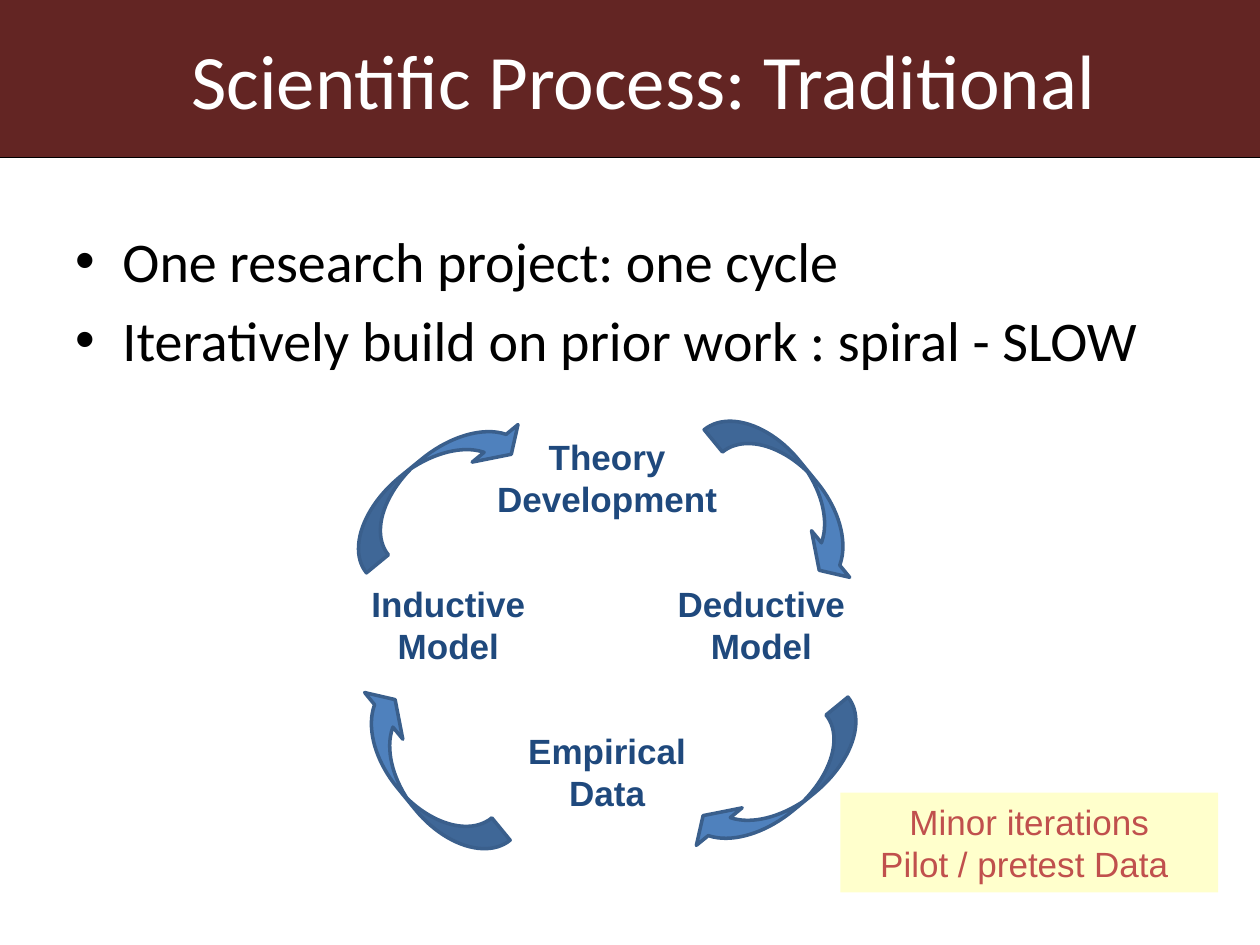
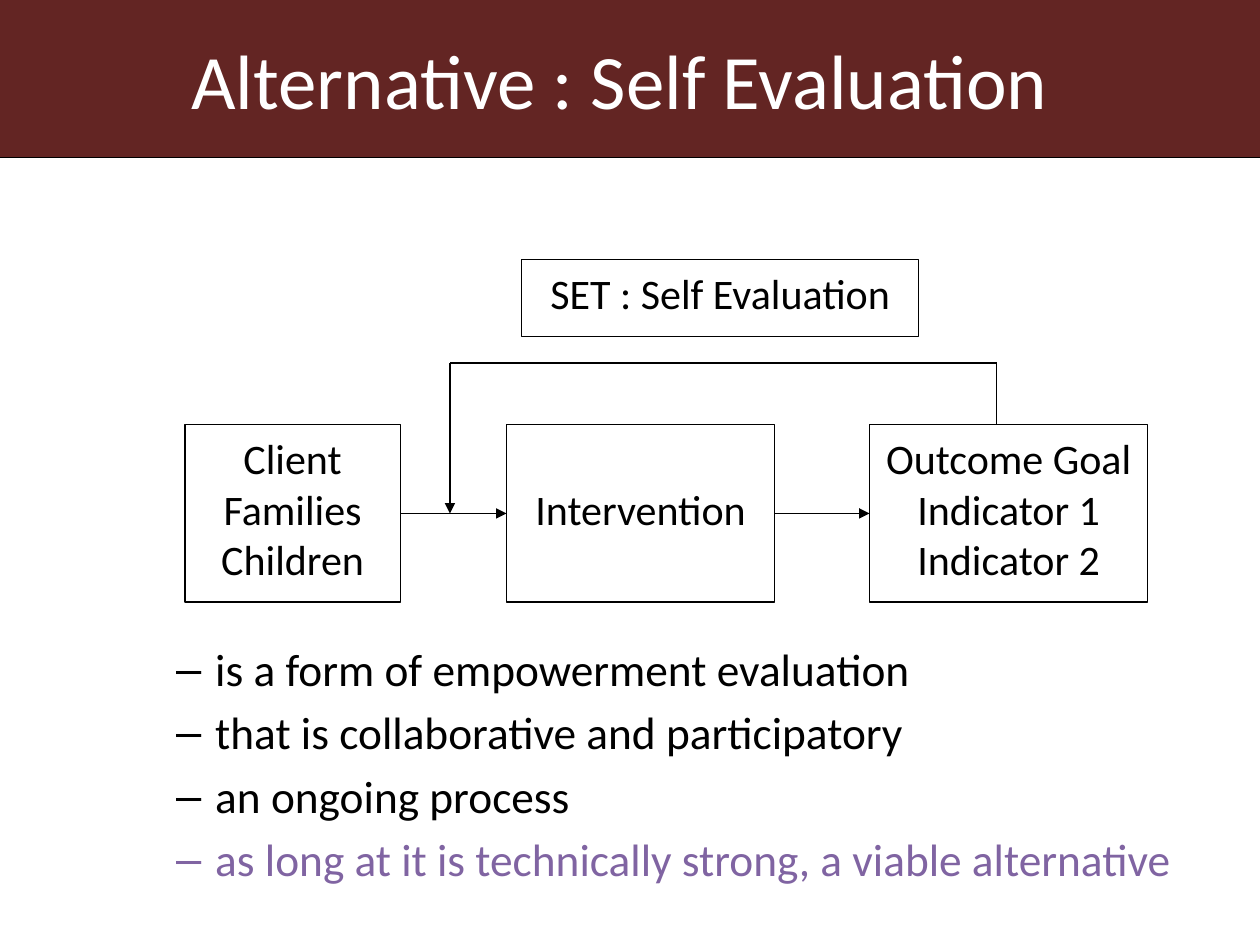
from pptx import Presentation
from pptx.dml.color import RGBColor
from pptx.enum.shapes import MSO_CONNECTOR, MSO_SHAPE
from pptx.enum.text import MSO_ANCHOR, PP_ALIGN
from pptx.oxml.ns import qn
from pptx.util import Cm, Pt
from lxml import etree

RECTANGLE = MSO_SHAPE.RECTANGLE
CURVED_ARROW = MSO_SHAPE.CURVED_DOWN_ARROW
STRAIGHT = MSO_CONNECTOR.STRAIGHT
TOP, MIDDLE = MSO_ANCHOR.TOP, MSO_ANCHOR.MIDDLE
LEFT, CENTER = PP_ALIGN.LEFT, PP_ALIGN.CENTER
LEFT_SIDE, RIGHT_SIDE = 1, 3

MAROON, WHITE, BLACK = "632523", "FFFFFF", "000000"
NAVY, BLUE, BLUE_EDGE = "1F497D", "4F81BD", "3A5F8C"
RED, CREAM, PURPLE = "C0504D", "FFFFCC", "8064A2"

# Content; all lengths in cm
SLIDE_W, SLIDE_H = 25.4, 19.05
BAND_H = 3.18
TITLE_LEFT = 3.61

TRADITIONAL = "Scientific Process: Traditional"
TRADITIONAL_POINTS = [
    ("One research project: one cycle", BLACK),
    ("Iteratively build on prior work : spiral - SLOW", BLACK),
]
ITERATIONS_NOTE = ["Minor iterations", "Pilot / pretest Data "]
CYCLE_CENTRE = (12.24, 12.8)
STAGE_H = 2.36
# lines, offset of the stage from the cycle centre, width
STAGES = [
    (["Theory", "Development"], (0, -2.97), 6.2),
    (["Deductive", "Model"], (3.11, 0), 4.9),
    (["Empirical", "Data"], (0, 2.97), 5.03),
    (["Inductive", "Model"], (-3.2, 0), 4.72),
]
# offset from the cycle centre, size, rotation; each has an opposite twin
CYCLE_ARROWS = [
    ((3.73, -2.83), (4.27, 1.09), 50.7),
    ((3.5, 3.05), (4.37, 1.07), 140.7),
]
ARROW_ADJUSTMENTS = (0.535, 1.115, 0.353)

SELF_EVALUATION = "Alternative : Self Evaluation"
SELF_EVALUATION_POINTS = [
    ("is a form of empowerment evaluation", BLACK),
    ("that is collaborative and participatory", BLACK),
    ("an ongoing process", BLACK),
    ("as long at it is technically strong, a viable alternative", PURPLE),
]
SET_LABEL = (["SET : Self Evaluation"], (10.52, 5.23, 8, 1.55))
STEP_TOP, STEP_H = 8.56, 3.58
# lines, left, width
STEPS = [
    (["Client", "Families", "Children"], 3.73, 4.34),
    (["Intervention"], 10.21, 5.41),
    (["Outcome Goal", "Indicator 1", "Indicator 2"], 17.53, 5.61),
]
FEEDBACK_START_X, FEEDBACK_END_X, FEEDBACK_Y = 20.09, 9.07, 7.32


# Helpers
def rgb(color):
    return RGBColor.from_string(color)


def write(shape, lines, size, color, font="Calibri", bold=False,
          align=CENTER, anchor=TOP):
    frame = shape.text_frame
    frame.word_wrap = True
    frame.vertical_anchor = anchor
    frame.text = "\n".join(lines)
    for paragraph in frame.paragraphs:
        paragraph.alignment = align
        paragraph.font.size = Pt(size)
        paragraph.font.name = font
        paragraph.font.bold = bold
        paragraph.font.color.rgb = rgb(color)


def add_text(slide, box, *args, **style):
    shape = slide.shapes.add_textbox(*map(Cm, box))
    write(shape, *args, **style)


def add_filled(slide, kind, box, fill, edge=None, edge_width=0.75):
    shape = slide.shapes.add_shape(kind, *map(Cm, box))
    shape.shadow.inherit = False
    shape.fill.solid()
    shape.fill.fore_color.rgb = rgb(fill)
    if edge:
        shape.line.color.rgb = rgb(edge)
        shape.line.width = Pt(edge_width)
    else:
        shape.line.fill.background()
    return shape


def add_line(slide, start, end, arrow=False):
    line = slide.shapes.add_connector(STRAIGHT, *map(Cm, (*start, *end)))
    line.line.color.rgb = rgb(BLACK)
    line.line.width = Pt(0.75)
    if arrow:
        etree.SubElement(line.line._get_or_add_ln(), qn("a:tailEnd"), type="triangle")
    etree.SubElement(line._element.spPr, qn("a:effectLst"))
    return line


def add_bullets(slide, box, points, size, mark, indent, hanging):
    frame = slide.shapes.add_textbox(*map(Cm, box)).text_frame
    frame.word_wrap = True
    frame.text = "\n".join(text for text, _ in points)
    for index, (paragraph, (_, color)) in enumerate(zip(frame.paragraphs, points)):
        properties = paragraph._p.get_or_add_pPr()
        properties.set("marL", str(Cm(indent)))
        properties.set("indent", str(-Cm(hanging)))
        etree.SubElement(properties, qn("a:buFont"), typeface="Arial")
        etree.SubElement(properties, qn("a:buChar"), char=mark)
        if index:
            paragraph.space_before = Pt(round(size * 0.2, 1))
        paragraph.font.size = Pt(size)
        paragraph.font.name = "Calibri"
        paragraph.font.color.rgb = rgb(color)


def centred(offset, size):
    """Box of the given size, placed at an offset from the cycle centre."""
    return [c + o - s / 2 for c, o, s in zip(CYCLE_CENTRE, offset, size)] + list(size)


def add_titled_slide(deck, title):
    slide = deck.slides.add_slide(deck.slide_layouts[6])
    add_filled(slide, RECTANGLE, (0, 0, SLIDE_W, BAND_H), MAROON)
    add_line(slide, (0, BAND_H), (SLIDE_W, BAND_H))
    add_text(slide, (TITLE_LEFT, 0, SLIDE_W - TITLE_LEFT, BAND_H), [title],
             44, WHITE, align=LEFT, anchor=MIDDLE)
    return slide


def add_step(slide, lines, box):
    step = add_filled(slide, RECTANGLE, box, WHITE, BLACK)
    write(step, lines, 24, BLACK, anchor=MIDDLE)
    step.text_frame.margin_bottom = Cm(0.33)
    return step


# Slides
def build_traditional(deck):
    slide = add_titled_slide(deck, TRADITIONAL)
    add_bullets(slide, (1.27, 4.45, 22.86, 12.57), TRADITIONAL_POINTS,
                32, "•", 0.95, 0.95)
    note = add_filled(slide, RECTANGLE, (16.94, 15.98, 7.62, 2.01), CREAM)
    write(note, ITERATIONS_NOTE, 20, RED, font="Arial", anchor=MIDDLE)

    # Cycle of stages
    for lines, offset, width in STAGES:
        add_text(slide, centred(offset, (width, STAGE_H)), lines,
                 20, NAVY, font="Arial", bold=True)
    for (dx, dy), size, angle in CYCLE_ARROWS:
        for sign, turn in ((1, 0), (-1, 180)):
            arrow = add_filled(slide, CURVED_ARROW,
                               centred((sign * dx, sign * dy), size),
                               BLUE, BLUE_EDGE, 2)
            arrow.rotation = angle + turn
            for index, value in enumerate(ARROW_ADJUSTMENTS):
                arrow.adjustments[index] = value


def build_self_evaluation(deck):
    slide = add_titled_slide(deck, SELF_EVALUATION)
    add_bullets(slide, (2.03, 12.8, 22.66, 4.88), SELF_EVALUATION_POINTS,
                25.9, "–", 2.06, 0.79)
    add_step(slide, *SET_LABEL)

    # Steps joined from left to right
    steps = [add_step(slide, lines, (left, STEP_TOP, width, STEP_H))
             for lines, left, width in STEPS]
    for step, following in zip(steps, steps[1:]):
        link = add_line(slide, (0, 0), (1, 1), arrow=True)
        link.begin_connect(step, RIGHT_SIDE)
        link.end_connect(following, LEFT_SIDE)

    # Feedback from the outcome to the first link
    route = [(FEEDBACK_START_X, STEP_TOP), (FEEDBACK_START_X, FEEDBACK_Y),
             (FEEDBACK_END_X, FEEDBACK_Y), (FEEDBACK_END_X, STEP_TOP + STEP_H / 2)]
    for start, end in zip(route, route[1:]):
        add_line(slide, start, end, arrow=end == route[-1])


def main():
    deck = Presentation()
    deck.slide_width, deck.slide_height = Cm(SLIDE_W), Cm(SLIDE_H)
    build_traditional(deck)
    build_self_evaluation(deck)
    deck.save("out.pptx")


if __name__ == "__main__":
    main()
